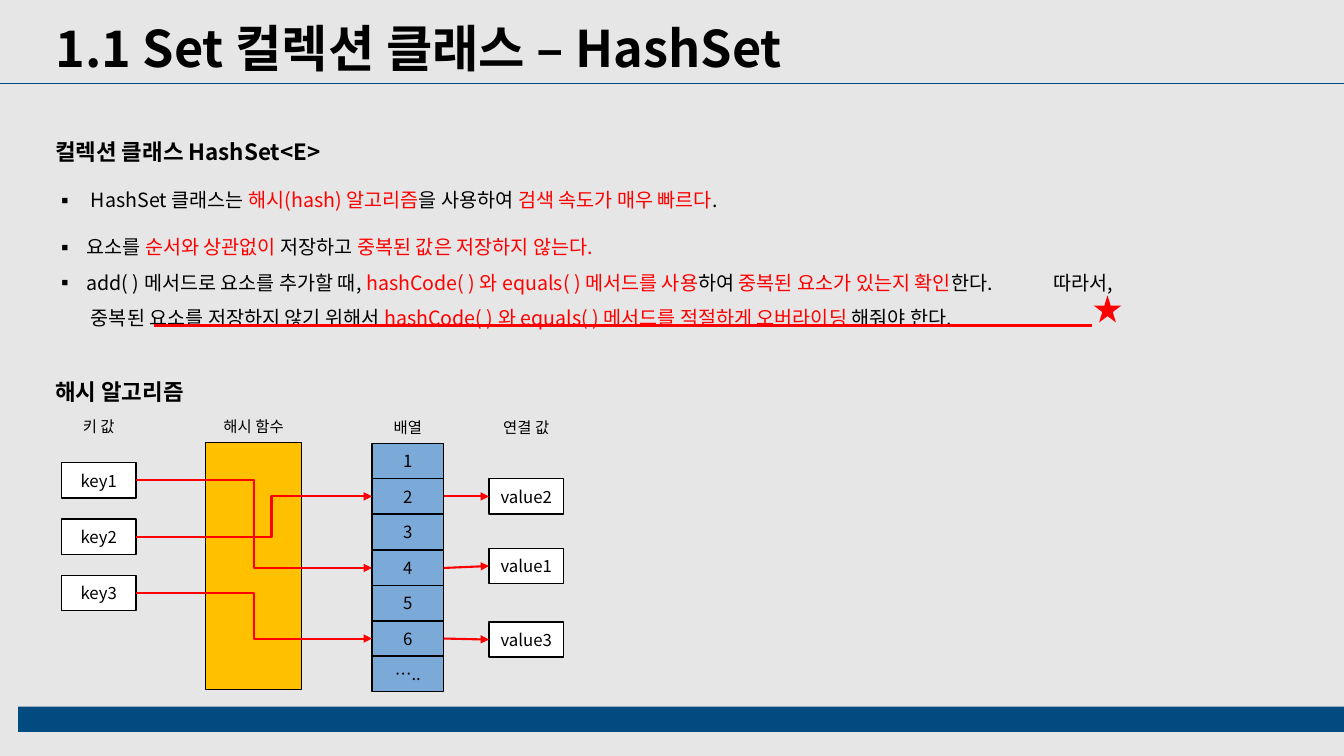
from lxml.etree import SubElement
from pptx import Presentation
from pptx.dml.color import RGBColor
from pptx.enum.shapes import MSO_CONNECTOR, MSO_SHAPE
from pptx.enum.text import MSO_ANCHOR, MSO_AUTO_SIZE, PP_ALIGN
from pptx.oxml.ns import qn
from pptx.util import Pt

PX = 9144  # 100 px to the inch
FONT = "Noto Sans CJK KR"
COLORS = {
    "back": "E7E6E6", "navy": "024B80", "black": "000000", "red": "FF0000",
    "gold": "FFC000", "white": "FFFFFF", "blue": "7BAAD8",
}
POINTS = [
    (2, " HashSet 클래스는 |해시(hash) 알고리즘|을 사용하여 |검색 속도가 매우 빠르다|."),
    (2, "요소를 |순서와 상관없이 |저장하고 |중복된 값은 저장하지 않는다."),
    (1.5, "add( ) 메서드로 요소를 추가할 때, |hashCode( ) 와 equals( ) 메서드를 사용|하여 "
          "|중복된 요소가 있는지 확인|한다.\t따라서, 중복된 요소를 저장하지 않기 위해서 "
          "|hashCode( ) 와 equals( ) 메서드를 적절하게 오버라이딩 |해줘야 한다."),
]
LABELS = [("해시 함수", 204, 409, 95), ("키 값", 61, 409, 74),
          ("배열", 369, 410, 71), ("연결 값", 485, 410, 74)]
VALUES = {"2": ("value2", 475), "4": ("value1", 544), "6": ("value3", 617)}
ROUTES = [("key1", "4", 50000), ("key2", "2", 57400), ("key3", "6", 50000)]


def px(*sizes):
    return [round(size * PX) for size in sizes]


def rgb(name):
    return RGBColor.from_string(COLORS[name])


def write(para, text, size=12, color="black", bold=False, align=None, lines=None, before=0):
    """Add text to a paragraph; each | switches between color and red."""
    para.alignment = align
    para.line_spacing = lines
    if before:
        para.space_before = Pt(before)
    for i, part in enumerate(text.split("|")):
        run = para.add_run()
        run.text = part
        font = run.font
        font.name, font.size, font.bold = FONT, Pt(size), bold
        font.color.rgb = rgb("red" if i % 2 else color)
        SubElement(font._element, qn("a:ea"), typeface=FONT)


def bullet(para, tab):
    props = para._p.get_or_add_pPr()
    props.set("marL", str(31 * PX))
    props.set("indent", str(-31 * PX))
    SubElement(props, qn("a:buFont"), typeface=FONT)
    SubElement(props, qn("a:buChar"), char="▪")
    stops = SubElement(props, qn("a:tabLst"))
    SubElement(stops, qn("a:tab"), pos=str(tab * PX), algn="l")


def block(slide, x, y, w, h, fill, text="", edge=True, kind=MSO_SHAPE.RECTANGLE):
    shape = slide.shapes.add_shape(kind, *px(x, y, w, h))
    shape.shadow.inherit = False
    shape.fill.solid()
    shape.fill.fore_color.rgb = rgb(fill)
    if edge:
        shape.line.color.rgb = rgb("black")
        shape.line.width = Pt(1)
    else:
        shape.line.fill.background()
    if text:
        frame = shape.text_frame
        frame.margin_left = frame.margin_right = 0
        frame.vertical_anchor = MSO_ANCHOR.MIDDLE
        write(frame.paragraphs[0], text, align=PP_ALIGN.CENTER)
    return shape


def label(slide, text, x, y, w):
    frame = slide.shapes.add_textbox(*px(x, y, w, 29)).text_frame
    frame.word_wrap = True
    frame.margin_left = frame.margin_right = 0
    write(frame.paragraphs[0], text, size=11, align=PP_ALIGN.CENTER)


def line(slide, ends, color, width, kind=MSO_CONNECTOR.STRAIGHT):
    wire = slide.shapes.add_connector(kind, *px(*ends))
    wire.line.color.rgb = rgb(color)
    wire.line.width = Pt(width)
    SubElement(wire._element.spPr, qn("a:effectLst"))
    return wire


def arrow(slide, start, end, bend=None):
    """Join the right side of start to the left side of end."""
    kind = MSO_CONNECTOR.ELBOW if bend else MSO_CONNECTOR.STRAIGHT
    wire = line(slide, (0, 0, 0, 0), "red", 1.5, kind)
    wire.begin_connect(start, 3)
    wire.end_connect(end, 1)
    SubElement(wire.line._get_or_add_ln(), qn("a:tailEnd"), type="triangle")
    if bend:
        guides = wire._element.spPr.find(qn("a:prstGeom")).get_or_add_avLst()
        SubElement(guides, qn("a:gd"), name="adj1", fmla=f"val {bend}")


def heading(slide):
    title = slide.shapes.title
    title.left, title.top, title.width, title.height = px(45, 12, 871, 71)
    frame = title.text_frame
    frame.auto_size = MSO_AUTO_SIZE.NONE
    frame.vertical_anchor = MSO_ANCHOR.TOP
    write(frame.paragraphs[0], "1.1 Set 컬렉션 클래스 – HashSet", size=36, bold=True,
          align=PP_ALIGN.LEFT)


def body(slide):
    frame = slide.shapes.add_textbox(*px(45, 105, 1067, 305)).text_frame
    frame.word_wrap = True
    write(frame.paragraphs[0], "컬렉션 클래스 HashSet<E>", size=16, bold=True, lines=2)
    for lines, text in POINTS:
        para = frame.add_paragraph()
        bullet(para, 990)
        write(para, text, size=14, lines=lines)
    write(frame.add_paragraph(), "해시 알고리즘", size=16, bold=True, lines=1.5, before=25)


def diagram(slide):
    for item in LABELS:
        label(slide, *item)
    block(slide, 204, 439, 95, 245, "gold")
    keys = {f"key{i + 1}": block(slide, 61, 459 + 56 * i, 74, 35, "white", f"key{i + 1}")
            for i in range(3)}
    cells = {text: block(slide, 369, 440 + round(35.2 * i), 71, 35, "blue", text)
             for i, text in enumerate(["1", "2", "3", "4", "5", "6", "….."])}
    for key, cell, bend in ROUTES:
        arrow(slide, keys[key], cells[cell], bend)
    for cell, (text, y) in VALUES.items():
        arrow(slide, cells[cell], block(slide, 485, y, 74, 35, "white", text))


def main():
    deck = Presentation()
    deck.slide_width, deck.slide_height = px(1333, 750)
    slide = deck.slides.add_slide(deck.slide_layouts[5])
    slide.background.fill.solid()
    slide.background.fill.fore_color.rgb = rgb("back")
    block(slide, 18, 701, 1315, 25, "navy", edge=False)
    heading(slide)
    line(slide, (0, 83, 1333, 83), "navy", 0.5)
    body(slide)
    block(slide, 1085, 293, 27, 27, "red", edge=False, kind=MSO_SHAPE.STAR_5_POINT)
    line(slide, (153, 323, 1083, 323), "red", 2.25)
    diagram(slide)
    deck.save("out.pptx")


if __name__ == "__main__":
    main()
